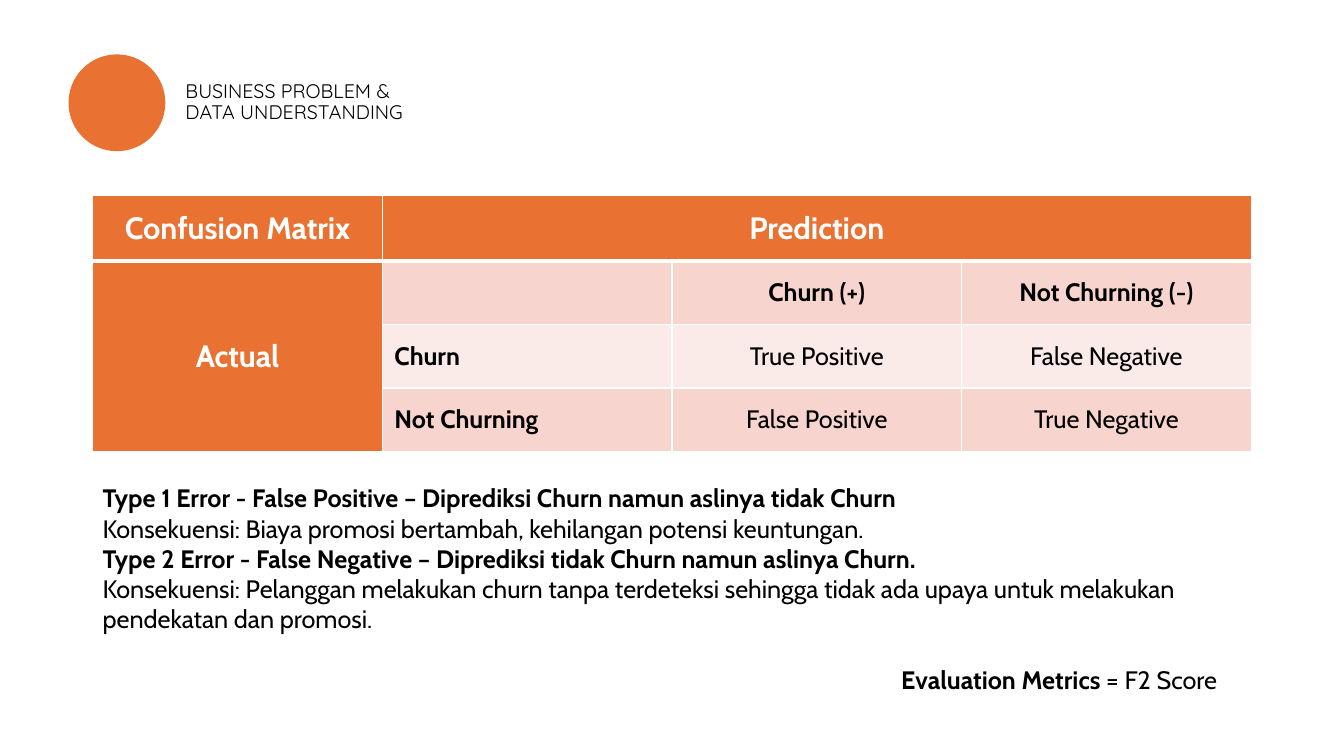
from dataclasses import dataclass

import pptx
import pptx.dml.color
import pptx.enum.shapes
import pptx.enum.text
import pptx.oxml
import pptx.oxml.ns
import pptx.util
from pptx.util import Inches, Pt

ALIGN = pptx.enum.text.PP_ALIGN
MIDDLE = pptx.enum.text.MSO_ANCHOR.MIDDLE


@dataclass(frozen=True)
class Theme:
    accent: str = "E97132"
    band_dark: str = "F7D5CE"
    band_light: str = "FBEBE8"
    white: str = "FFFFFF"
    black: str = "000000"
    body_font: str = "Cabin"
    title_font: str = "Quicksand"
    title_size: int = 14
    body_size: int = 18
    header_size: int = 22


THEME = Theme()

MATRIX = [
    ["Confusion Matrix", "Prediction", "", ""],
    ["Actual", "", "Churn (+)", "Not Churning (-)"],
    ["", "Churn", "True Positive", "False Negative"],
    ["", "Not Churning", "False Positive", "True Negative"],
]
ERRORS = [
    ("Type 1 Error - False Positive – Diprediksi Churn namun aslinya tidak Churn",
     "Konsekuensi: Biaya promosi bertambah, kehilangan potensi keuntungan."),
    ("Type 2 Error - False Negative – Diprediksi tidak Churn namun aslinya Churn.",
     "Konsekuensi: Pelanggan melakukan churn tanpa terdeteksi sehingga tidak ada upaya "
     "untuk melakukan pendekatan dan promosi."),
]


def rgb(color):
    return pptx.dml.color.RGBColor.from_string(color)


def set_font(font, size, color=THEME.black, name=THEME.body_font, bold=False):
    font.name, font.size, font.bold = name, Pt(size), bold
    font.color.rgb = rgb(color)


def set_borders(cell, bottom_width):
    properties = cell._tc.get_or_add_tcPr()
    widths = {"lnL": 1, "lnR": 1, "lnT": 1, "lnB": bottom_width}
    for position, (side, width) in enumerate(widths.items()):
        line = pptx.oxml.parse_xml(
            f'<a:{side} {pptx.oxml.ns.nsdecls("a")} w="{Pt(width)}"><a:solidFill>'
            f'<a:srgbClr val="{THEME.white}"/></a:solidFill></a:{side}>')
        properties.insert(position, line)


def add_heading(page, left, top, size):
    """Place a disc of the given size with the section title to its right."""
    disc = page.shapes.add_shape(
        pptx.enum.shapes.MSO_SHAPE.OVAL, Inches(left), Inches(top), Inches(size), Inches(size))
    disc.shadow.inherit = False
    disc.fill.solid()
    disc.fill.fore_color.rgb = rgb(THEME.accent)
    disc.line.fill.background()

    box = page.shapes.add_textbox(
        Inches(left + size + 0.2), Inches(top), Inches(2.43), Inches(size))
    frame = box.text_frame
    frame.word_wrap = True
    frame.vertical_anchor = MIDDLE
    frame.margin_left = frame.margin_right = frame.margin_top = frame.margin_bottom = 0
    para = frame.paragraphs[0]
    para.text = "BUSINESS PROBLEM & DATA UNDERSTANDING"
    para.line_spacing = 0.9
    set_font(para.font, THEME.title_size, name=THEME.title_font)


def style_cell(cell, row, column):
    is_header = row == 0 or column == 0
    cell.vertical_anchor = MIDDLE
    cell.margin_left = cell.margin_right = Inches(0.12)
    cell.margin_top = cell.margin_bottom = Inches(0.06)
    cell.fill.solid()
    band = THEME.band_dark if row % 2 else THEME.band_light
    cell.fill.fore_color.rgb = rgb(THEME.accent if is_header else band)
    set_borders(cell, 3 if row == 0 else 1)

    para = cell.text_frame.paragraphs[0]
    para.alignment = ALIGN.LEFT if column == 1 and row > 1 else ALIGN.CENTER
    set_font(para.font,
             THEME.header_size if is_header else THEME.body_size,
             THEME.white if is_header else THEME.black,
             bold=row < 2 or column < 2)


def add_matrix(page, left, top, width, height):
    table = page.shapes.add_table(
        len(MATRIX), len(MATRIX[0]),
        Inches(left), Inches(top), Inches(width), Inches(height)).table
    table.rows[0].height = Inches(0.65)
    for row, words in enumerate(MATRIX):
        if row:
            table.rows[row].height = Inches((height - 0.65) / (len(MATRIX) - 1))
        for column, word in enumerate(words):
            cell = table.cell(row, column)
            cell.text = word
            style_cell(cell, row, column)
    table.cell(0, 1).merge(table.cell(0, 3))
    table.cell(1, 0).merge(table.cell(3, 0))


def add_explanation(page, left, top, width, height):
    box = page.shapes.add_textbox(Inches(left), Inches(top), Inches(width), Inches(height))
    frame = box.text_frame
    frame.word_wrap = True
    para = frame.paragraphs[0]
    for error, consequence in ERRORS:
        for text, bold in ((error, True), (consequence, False)):
            para.text = text
            set_font(para.font, THEME.body_size, bold=bold)
            para = frame.add_paragraph()

    para.alignment = ALIGN.RIGHT
    para.space_before = Pt(22)
    for text, bold in (("Evaluation Metrics", True), (" = F2 Score", False)):
        span = para.add_run()
        span.text = text
        set_font(span.font, THEME.body_size, bold=bold)


def main():
    deck = pptx.Presentation()
    deck.slide_width, deck.slide_height = Inches(13.33), Inches(7.5)
    page = deck.slides.add_slide(deck.slide_layouts[6])
    add_matrix(page, 0.92, 1.94, 11.49, 2.54)
    add_explanation(page, 0.92, 4.74, 11.25, 2.22)
    add_heading(page, 0.68, 0.54, 0.96)
    deck.save("out.pptx")


if __name__ == "__main__":
    main()
